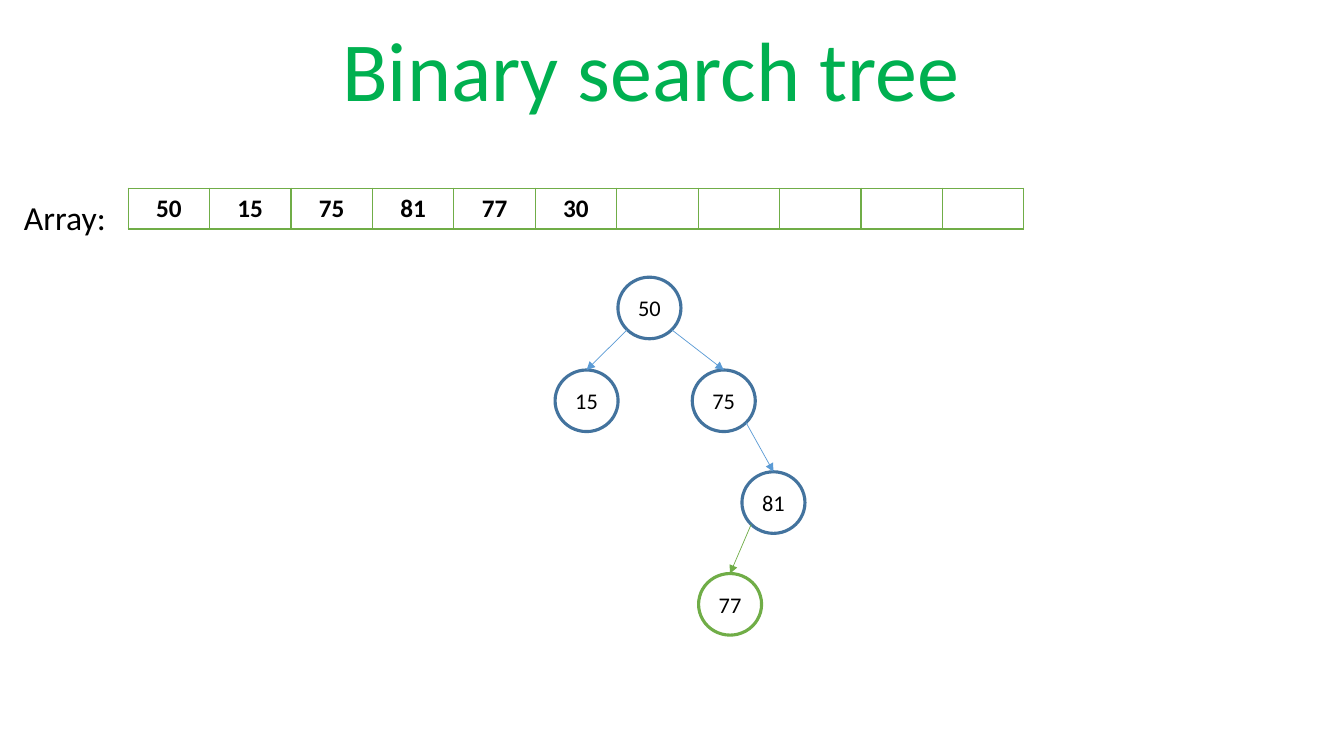
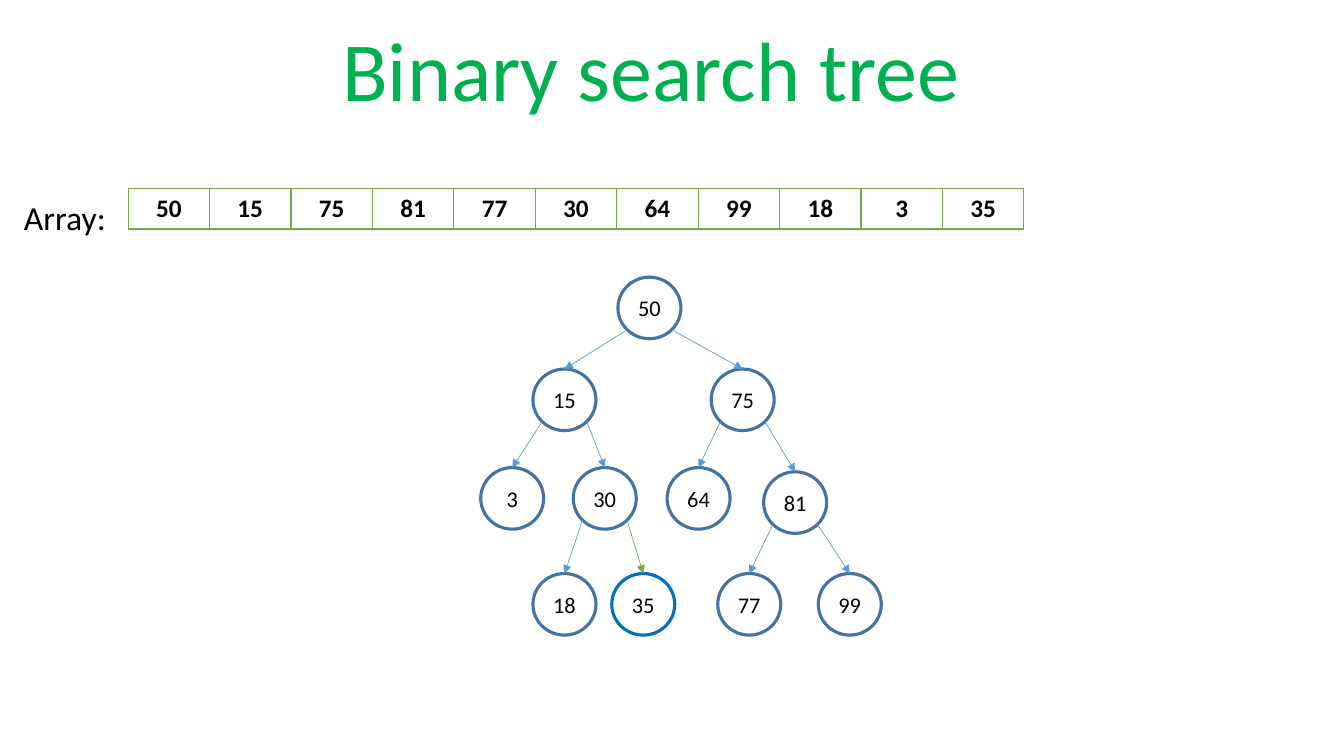
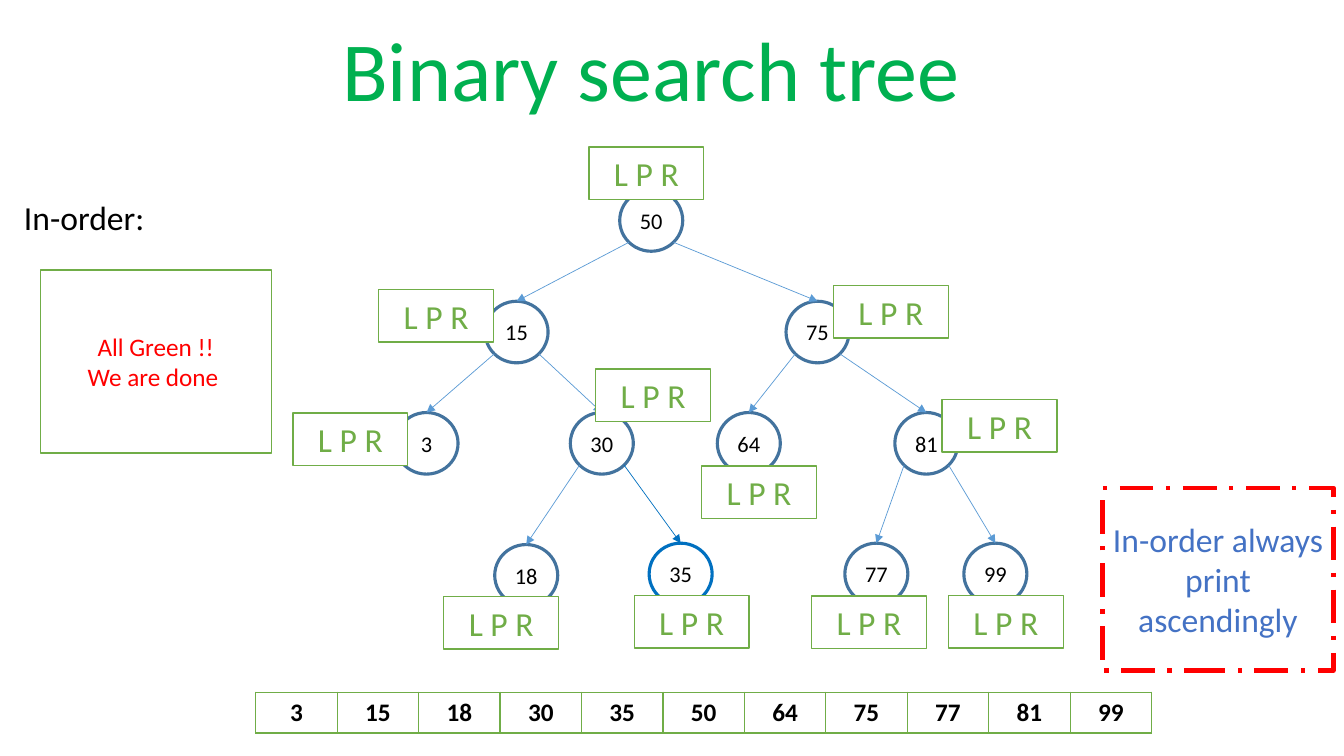
from dataclasses import dataclass
from math import sqrt

from lxml.etree import SubElement
from pptx import Presentation
from pptx.dml.color import RGBColor
from pptx.enum.dml import MSO_LINE
from pptx.enum.shapes import MSO_CONNECTOR, MSO_SHAPE
from pptx.enum.text import MSO_ANCHOR, MSO_AUTO_SIZE, PP_ALIGN
from pptx.oxml.ns import qn
from pptx.shapes.autoshape import Shape
from pptx.slide import Slide
from pptx.text.text import TextFrame
from pptx.util import Pt


# Theme
@dataclass(frozen=True)
class Theme:
    font: str = "Calibri"
    white: str = "FFFFFF"
    black: str = "000000"
    title: str = "00B050"
    ring: str = "43739E"
    link: str = "5B9BD5"
    green: str = "70AD47"
    blue: str = "0070C0"
    red: str = "FF0000"
    note: str = "4472C4"
    huge: int = 60
    large: int = 24
    body: int = 18
    small: int = 16


THEME = Theme()
NODE_W, NODE_H = 45, 44
TAG_W, TAG_H = 82, 37.5
NOTE_W, NOTE_H = 165, 130.5
ROW_W, ROW_H = 640, 29.2


@dataclass(frozen=True)
class Node:
    key: int
    x: float
    y: float
    top: int | None = None
    ring: str = THEME.ring
    link: str = THEME.link


@dataclass(frozen=True)
class Box:
    x: float
    y: float
    w: float
    h: float
    lines: tuple[str, ...]
    size: int
    ink: str
    edge: str
    width: float = 1
    kind: MSO_SHAPE = MSO_SHAPE.RECTANGLE
    dash: MSO_LINE | None = None


@dataclass(frozen=True)
class Page:
    label: str
    cells: tuple[int, ...]
    row_x: float
    row_y: float
    nodes: tuple[Node, ...]
    tags: tuple[tuple[float, float], ...] = ()
    notes: tuple[Box, ...] = ()


# Text and shapes
def write(frame: TextFrame, lines: tuple[str, ...], size: int, ink: str,
          align: PP_ALIGN = PP_ALIGN.CENTER, bold: bool = False) -> None:
    for i, line in enumerate(lines):
        para = frame.add_paragraph() if i else frame.paragraphs[0]
        para.alignment = align
        run = para.add_run()
        run.text = line
        run.font.name = THEME.font
        run.font.size = Pt(size)
        run.font.bold = bold
        run.font.color.rgb = RGBColor.from_string(ink)


def draw_box(slide: Slide, box: Box) -> Shape:
    shape = slide.shapes.add_shape(box.kind, Pt(box.x), Pt(box.y), Pt(box.w), Pt(box.h))
    shape.shadow.inherit = False
    shape.fill.solid()
    shape.fill.fore_color.rgb = RGBColor.from_string(THEME.white)
    shape.line.color.rgb = RGBColor.from_string(box.edge)
    shape.line.width = Pt(box.width)
    if box.dash is not None:
        shape.line.dash_style = box.dash
    shape.text_frame.word_wrap = True
    shape.text_frame.vertical_anchor = MSO_ANCHOR.MIDDLE
    write(shape.text_frame, box.lines, box.size, box.ink)
    return shape


# Tree: smaller keys hang left, larger keys hang right
def draw_link(slide: Slide, top: Node, node: Node, shape: Shape) -> None:
    side = -1 if node.key < top.key else 1
    x = top.x + NODE_W / 2 * (1 + side / sqrt(2))
    y = top.y + NODE_H / 2 * (1 + 1 / sqrt(2))
    link = slide.shapes.add_connector(
        MSO_CONNECTOR.STRAIGHT, Pt(x), Pt(y), Pt(node.x + NODE_W / 2), Pt(node.y))
    link.end_connect(shape, 0)
    link.line.color.rgb = RGBColor.from_string(node.link)
    link.line.width = Pt(0.5)
    props = link.element.spPr
    SubElement(props.find(qn("a:ln")), qn("a:tailEnd"), type="triangle")
    SubElement(props, qn("a:effectLst"))


def draw_tree(slide: Slide, nodes: tuple[Node, ...]) -> None:
    by_key = {node.key: node for node in nodes}
    for node in nodes:
        shape = draw_box(slide, Box(
            node.x, node.y, NODE_W, NODE_H, (str(node.key),), THEME.small,
            THEME.black, node.ring, 2.25, MSO_SHAPE.OVAL))
        if node.top is not None:
            draw_link(slide, by_key[node.top], node, shape)


# Array row
def draw_row(slide: Slide, page: Page, count: int = 11) -> None:
    table = slide.shapes.add_table(
        1, count, Pt(page.row_x), Pt(page.row_y), Pt(ROW_W), Pt(ROW_H)).table
    table.first_row = table.horz_banding = False
    table.rows[0].height = Pt(ROW_H)
    for i in range(count):
        table.columns[i].width = Pt(ROW_W / count)
        cell = table.cell(0, i)
        props = cell._tc.get_or_add_tcPr()
        for side, width in (("L", 1), ("R", 1), ("T", 1), ("B", 2)):
            line = SubElement(props, qn(f"a:ln{side}"), w=str(Pt(width)))
            fill = SubElement(line, qn("a:solidFill"))
            SubElement(fill, qn("a:srgbClr"), val=THEME.green)
        cell.fill.background()
        if i < len(page.cells):
            write(cell.text_frame, (str(page.cells[i]),), THEME.body, THEME.black, bold=True)


# Title and label
def draw_head(slide: Slide, label: str) -> None:
    title = slide.shapes.title
    title.left, title.top, title.width, title.height = Pt(105), Pt(13), Pt(720), Pt(76.3)
    frame = title.text_frame
    frame.auto_size = MSO_AUTO_SIZE.NONE
    frame.word_wrap = True
    frame.vertical_anchor = MSO_ANCHOR.BOTTOM
    write(frame, ("Binary search tree",), THEME.huge, THEME.title)
    frame.paragraphs[0].line_spacing = 0.9

    frame = slide.shapes.add_textbox(Pt(10), Pt(100), Pt(940), Pt(432)).text_frame
    frame.word_wrap = True
    frame.margin_top = Pt(40.5)
    write(frame, (label,), THEME.large, THEME.black, PP_ALIGN.LEFT)


def draw_page(slide: Slide, page: Page) -> None:
    draw_head(slide, page.label)
    draw_tree(slide, page.nodes)
    for x, y in page.tags:
        draw_box(slide, Box(x, y, TAG_W, TAG_H, ("L P R",), THEME.large,
                            THEME.green, THEME.green))
    draw_row(slide, page)
    for note in page.notes:
        draw_box(slide, note)


# Content
KEYS = (50, 15, 75, 81, 77, 30, 64, 99, 18, 3, 35)

PAGES = (
    Page("Array:", KEYS[:6], 91.5, 134.5, (
        Node(50, 441.4, 198),
        Node(15, 396.5, 264.3, 50),
        Node(75, 494.5, 264.3, 50),
        Node(81, 530, 337, 75),
        Node(77, 499, 409.7, 81, THEME.green, THEME.green),
    )),
    Page("Array:", KEYS, 91.5, 134.5, (
        Node(50, 441.4, 198),
        Node(15, 380.7, 263.6, 50),
        Node(75, 508, 263.6, 50),
        Node(81, 545.5, 337, 75),
        Node(77, 512.7, 409.7, 81),
        Node(30, 409.5, 334, 15),
        Node(64, 476.5, 334, 75),
        Node(99, 584.5, 409.7, 81),
        Node(18, 380.7, 409.7, 30),
        Node(3, 343.4, 334, 15),
        Node(35, 437, 409.7, 30, THEME.blue, THEME.green),
    )),
    Page("In-order:", tuple(sorted(KEYS)), 182.7, 494.5, (
        Node(50, 442.7, 135.5),
        Node(15, 346.5, 215.2, 50),
        Node(75, 561.5, 215.2, 50),
        Node(81, 639.2, 294.7, 75),
        Node(77, 603.5, 388, 81),
        Node(30, 407.4, 294.7, 15),
        Node(64, 512.4, 294.7, 75),
        Node(99, 688.5, 388, 81),
        Node(18, 353.4, 389, 30),
        Node(3, 282.2, 294.7, 15),
        Node(35, 463.7, 388, 30, THEME.blue, THEME.blue),
    ), (
        (420.7, 105), (270.5, 206.8), (425.5, 263.5), (673, 285.4),
        (595.4, 203.9), (209.3, 295), (317, 426), (453, 425.5),
        (501.2, 332.8), (677.5, 425.5), (579.7, 425.7),
    ), (
        Box(28.8, 193, NOTE_W, NOTE_H, ("All Green !!", "We are done "),
            THEME.body, THEME.red, THEME.green),
        Box(787.5, 348.5, NOTE_W, NOTE_H, ("In-order always print ascendingly",),
            THEME.large, THEME.note, THEME.red, 3, dash=MSO_LINE.LONG_DASH_DOT),
    )),
)


def main() -> None:
    deck = Presentation()
    deck.slide_width, deck.slide_height = Pt(960), Pt(540)
    for page in PAGES:
        draw_page(deck.slides.add_slide(deck.slide_layouts[5]), page)
    deck.save("out.pptx")


if __name__ == "__main__":
    main()
